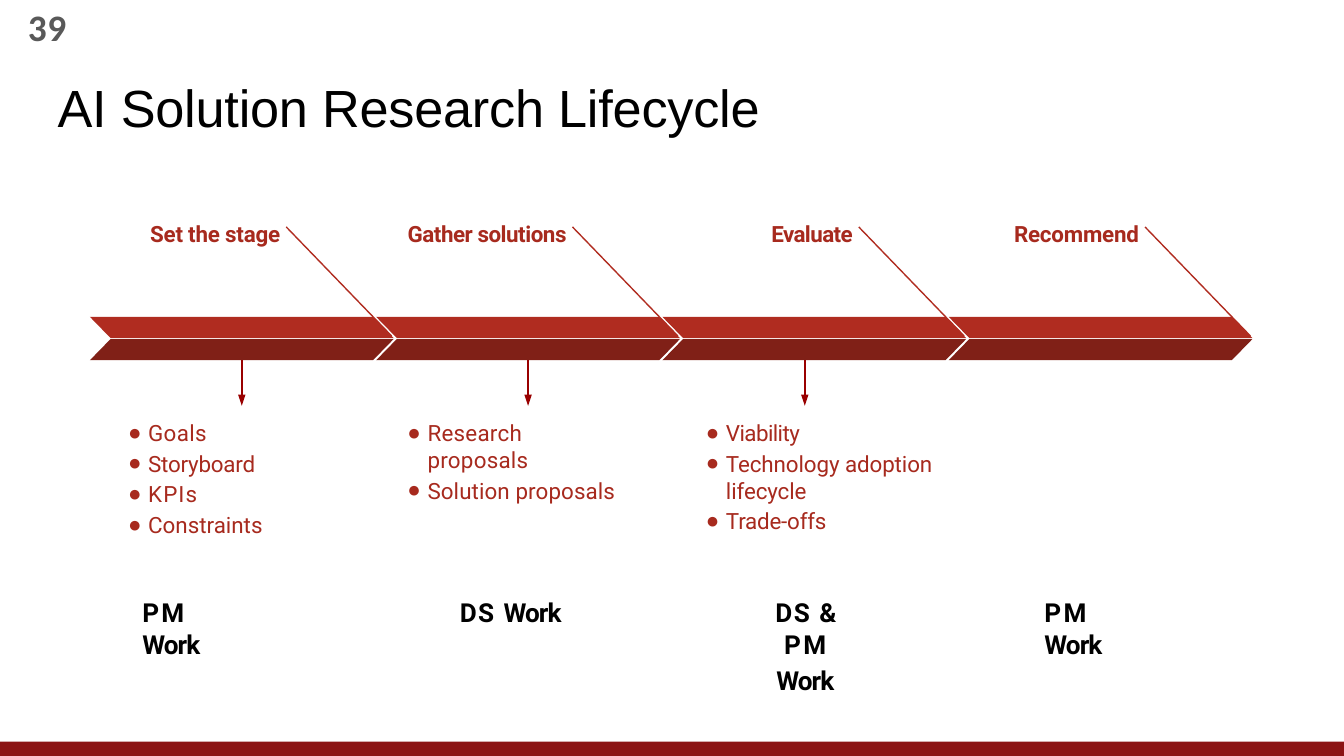
from lxml.etree import SubElement
from pptx import Presentation
from pptx.dml.color import RGBColor
from pptx.enum.shapes import MSO_CONNECTOR as Connector, MSO_SHAPE as Shape
from pptx.enum.text import MSO_ANCHOR as Anchor, MSO_AUTO_SIZE as AutoSize, PP_ALIGN as Align
from pptx.oxml.ns import qn
from pptx.util import Cm, Pt

BLACK = RGBColor(0x00, 0x00, 0x00)
GRAY = RGBColor(0x59, 0x59, 0x59)
TEXT_RED = RGBColor(0xA7, 0x2A, 0x1E)
BRIGHT_RED = RGBColor(0xB0, 0x2C, 0x20)
DARK_RED = RGBColor(0x80, 0x20, 0x17)
ARROW_RED = RGBColor(0x99, 0x00, 0x00)
BAND_RED = RGBColor(0x8C, 0x14, 0x14)

TITLE = {"name": "Arial", "size": Pt(28), "bold": False}
NUMBER = {"name": "Calibri", "size": Pt(20), "bold": True}
LABEL = {"name": "Roboto", "size": Pt(12), "bold": True}
ITEM = {"name": "Roboto", "size": Pt(12), "bold": False}
ROLE = {"name": "Roboto", "size": Pt(14), "bold": True}

PITCH = 5.41
PM = ("PM ", 1.2)
DS = ("DS ", 0.75)
WORK = ("Work", -0.5)
LABELS = [
    [("Set the stage", -0.1)],
    [("Gather solutions", -0.25)],
    [("Evaluate", -0.3)],
    [("Recommend", -0.1)],
]
LISTS = [
    ((2.39, 7.82, 3.2, 2.39), 4.57, [
        [("Goals", 0.2)], [("Storyboard", -0.1)], [("KPIs", 0.6)], [("Constraints", 0)]]),
    ((7.67, 7.82, 4.4, 1.9), 9.98, [
        [("Research\vproposals", 0.15)], [("Solution proposals", 0.05)]]),
    ((13.31, 7.82, 4.65, 2.39), 15.21, [
        [("Viability", -0.3)], [("Technology adoption lifecycle", -0.05)], [("Trade-offs", -0.1)]]),
]
ROLES = [
    ((2.69, 11.25, 1.75, 1.3), Align.LEFT, [[PM, WORK]]),
    ((8.69, 11.25, 2.4, 0.66), Align.LEFT, [[DS, WORK]]),
    ((14.38, 11.25, 1.68, 1.9), Align.CENTER, [[DS, ("& ", -0.7), ("PM", 1.2)], [WORK]]),
    ((19.74, 11.25, 1.75, 1.3), Align.LEFT, [[PM, WORK]]),
]


def place(shape, box):
    """Move and size a shape to a box in centimetres."""
    for name, length in zip(("left", "top", "width", "height"), box):
        setattr(shape, name, Cm(length))


def add_bullet(paragraph):
    """Give a paragraph a round bullet and a hanging indent."""
    properties = paragraph._p.get_or_add_pPr()
    properties.set("marL", str(Cm(0.41)))
    properties.set("indent", str(-Cm(0.38)))
    SubElement(properties, qn("a:buChar"), char="●")


def write(shape, paragraphs, style, color, align=Align.LEFT, gap=0, top=0.03, bullets=False):
    """Fill a shape with paragraphs made of (text, letter spacing) runs."""
    frame = shape.text_frame
    settings = {
        "word_wrap": True, "auto_size": AutoSize.NONE, "vertical_anchor": Anchor.TOP,
        "margin_left": 0, "margin_right": 0, "margin_bottom": 0, "margin_top": Cm(top),
    }
    for name, value in settings.items():
        setattr(frame, name, value)
    for index, parts in enumerate(paragraphs):
        paragraph = frame.add_paragraph() if index else frame.paragraphs[0]
        if bullets:
            add_bullet(paragraph)
        paragraph.alignment = align
        paragraph.line_spacing = 1.0
        paragraph.space_before = Pt(gap if index else 0)
        for text, spacing in parts:
            for number, line in enumerate(text.split("\v")):
                if number:
                    paragraph.add_line_break()
                run = paragraph.add_run()
                run.text = line
                run._r.get_or_add_rPr().set("spc", str(round(spacing * 100)))
                for name, value in style.items():
                    setattr(run.font, name, value)
                run.font.color.rgb = color


def add_text(slide, box, *content, **options):
    """Add a text box in the given box."""
    shape = slide.shapes.add_textbox(*map(Cm, box))
    write(shape, *content, **options)


def add_line(slide, start, end, color, arrow=False):
    """Draw a thin straight line, with an arrowhead if asked."""
    line = slide.shapes.add_connector(Connector.STRAIGHT, *map(Cm, start + end))
    line.line.color.rgb = color
    line.line.width = Pt(0.75)
    if arrow:
        SubElement(line.line._get_or_add_ln(), qn("a:tailEnd"), type="triangle", w="sm", len="med")
    SubElement(line._element.spPr, qn("a:effectLst"))


def fill_plain(shape, color):
    """Fill a shape with one colour and take off its line and shadow."""
    shape.fill.solid()
    shape.fill.fore_color.rgb = color
    shape.line.fill.background()
    shape.shadow.inherit = False


def add_stage(slide, box, label):
    """Draw one stage: a two-tone chevron with its leader line and label."""
    left, top, width, height = box
    half, slant = 0.4, 0.39
    upper = [(0, 0), (width - slant, 0), (width, half), (slant, half)]
    lower = [(x, half - y) for x, y in upper]
    for outline, offset, color in ((upper, 0, BRIGHT_RED), (lower, height - half, DARK_RED)):
        points = [(Cm(left + x), Cm(top + offset + y)) for x, y in outline]
        builder = slide.shapes.build_freeform(*points[0])
        builder.add_line_segments(points[1:])
        fill_plain(builder.convert_to_shape(), color)
    add_line(slide, (left + 3.71, top - 1.7), (left + 5.7, top + 0.36), BRIGHT_RED)
    add_text(slide, (left, top - 1.85, 3.6, 0.58), [label], LABEL, TEXT_RED, align=Align.RIGHT)


def add_list(slide, placeholder, box, arrow_x, items):
    """Set a bulleted list under an arrow."""
    add_line(slide, (arrow_x, 6.81), (arrow_x, 7.67), ARROW_RED, arrow=True)
    place(placeholder, box)
    write(placeholder, items, ITEM, TEXT_RED, gap=2.1, top=0.1, bullets=True)


def add_frame(slide, width, height):
    """Set the bottom band, the slide number and the title."""
    band = slide.shapes.add_shape(Shape.RECTANGLE, 0, Cm(14.02), width, height - Cm(14.02))
    fill_plain(band, BAND_RED)
    add_text(slide, (0.53, 0.05, 0.95, 0.91), [[("39", 0.3)]], NUMBER, GRAY)
    title = slide.shapes.title
    place(title, (1.09, 1.4, 14.5, 1.25))
    write(title, [[("AI Solution Research Lifecycle", -0.1)]], TITLE, BLACK)


def main():
    """Build the slide and save it."""
    presentation = Presentation()
    presentation.slide_width, presentation.slide_height = Cm(25.4), Cm(14.29)
    slide = presentation.slides.add_slide(presentation.slide_layouts.get_by_name("Comparison"))
    add_frame(slide, presentation.slide_width, presentation.slide_height)
    bodies = list(slide.placeholders)[1:]
    for index, label in enumerate(LABELS):
        add_stage(slide, (1.7 + index * PITCH, 5.99, 5.74, 0.82), label)
    for body, (box, arrow_x, items) in zip(bodies, LISTS):
        add_list(slide, body, box, arrow_x, items)
    for body in bodies[len(LISTS):]:
        body._element.getparent().remove(body._element)
    for box, align, paragraphs in ROLES:
        add_text(slide, box, paragraphs, ROLE, BLACK, align=align, gap=2.7)
    presentation.save("out.pptx")


if __name__ == "__main__":
    main()
